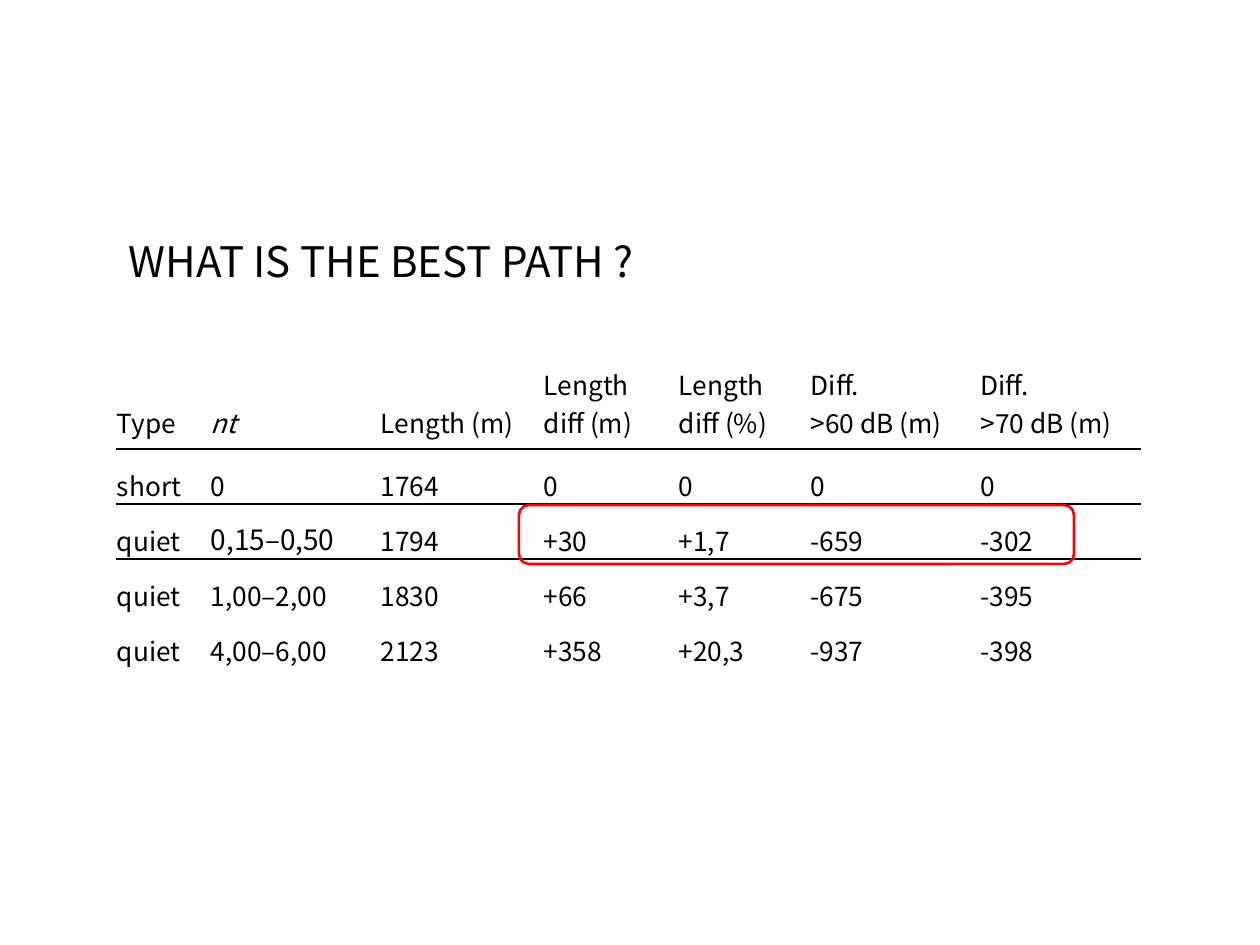
from lxml.etree import SubElement
from pptx import Presentation
from pptx.dml.color import RGBColor
from pptx.enum.shapes import MSO_SHAPE
from pptx.enum.text import MSO_ANCHOR, PP_ALIGN
from pptx.oxml import parse_xml
from pptx.oxml.ns import nsdecls, qn
from pptx.util import Emu, Pt

BLACK = RGBColor(0, 0, 0)
RED = RGBColor(255, 0, 0)
FONT = "Noto Sans CJK KR"
PLAIN_TABLE = "{2D5ABB26-0587-4C30-8999-92F81FD0307C}"
EMU_PER_PX = 914400 / 126


def px(length):
    return Emu(round(length * EMU_PER_PX))


class SlideBuilder:
    def __init__(self, slide, font_name, color):
        self.slide = slide
        self.font_name = font_name
        self.color = color

    def style(self, paragraph, size, italic=False):
        paragraph.font.name = self.font_name
        paragraph.font.size = Pt(size)
        paragraph.font.italic = italic
        paragraph.font.color.rgb = self.color

    def title(self, text, left, top, width, height):
        title = self.slide.shapes.title
        title.left, title.top, title.width, title.height = map(px, (left, top, width, height))
        title.text_frame.text = text
        title.text_frame.vertical_anchor = MSO_ANCHOR.MIDDLE
        heading = title.text_frame.paragraphs[0]
        heading.alignment = PP_ALIGN.LEFT
        heading.line_spacing = 0.9
        self.style(heading, 24)

    def table(self, rows, left, top, widths, heights, size):
        frame = self.slide.shapes.add_table(
            len(rows), len(widths), px(left), px(top), px(sum(widths)), px(sum(heights)))
        table = frame.table
        table.first_row = table.horz_banding = False
        next(frame._element.iter(qn("a:tableStyleId"))).text = PLAIN_TABLE
        for column, width in zip(table.columns, widths):
            column.width = px(width)
        for row, height in zip(table.rows, heights):
            row.height = px(height)
        for r, values in enumerate(rows):
            for c, value in enumerate(values):
                self.fill_cell(table.cell(r, c), value, size)
        return table

    def fill_cell(self, cell, value, size):
        cell.fill.background()
        cell.vertical_anchor = MSO_ANCHOR.BOTTOM
        cell.margin_left = cell.margin_right = cell.margin_top = px(1)
        cell.margin_bottom = 0
        cell.text = value
        for paragraph in cell.text_frame.paragraphs:
            if value:
                self.style(paragraph, size)
            else:
                SubElement(paragraph._p, qn("a:endParaRPr"), sz="100")

    def rule_below(self, table, row):
        for line_row, side in ((row, "lnB"), (row + 1, "lnT")):
            for cell in table.rows[line_row].cells:
                cell._tc.get_or_add_tcPr().insert(0, parse_xml(
                    f'<a:{side} {nsdecls("a")} w="{Pt(1)}"><a:solidFill>'
                    f'<a:srgbClr val="{self.color}"/></a:solidFill></a:{side}>'))

    def highlight(self, left, top, width, height, color):
        frame = self.slide.shapes.add_shape(
            MSO_SHAPE.ROUNDED_RECTANGLE, *map(px, (left, top, width, height)))
        frame.shadow.inherit = False
        frame.fill.background()
        frame.line.color.rgb = color
        frame.line.width = Pt(1.5)


def main():
    presentation = Presentation()
    presentation.slide_width, presentation.slide_height = px(1260), px(945)
    slide = presentation.slides.add_slide(presentation.slide_layouts[5])
    builder = SlideBuilder(slide, FONT, BLACK)

    path_rows = [
        ["Type", "nt", "Length (m)", "Length \vdiff (m)", "Length \vdiff (%)",
         "Diff.\n>60 dB (m)", "Diff.\n>70 dB (m)"],
        [""] * 7,
        ["short", "0", "1764", "0", "0", "0", "0"],
        ["quiet", "0,15–0,50", "1794", "+30", "+1,7", "-659", "-302"],
        ["quiet", "1,00–2,00", "1830", "+66", "+3,7", "-675", "-395"],
        ["quiet", "4,00–6,00", "2123", "+358", "+20,3", "-937", "-398"],
    ]
    paths = builder.table(path_rows, 116, 364, [94, 170, 163, 135, 132, 170, 161],
                          [71, 8] + [55] * 4, 15)
    builder.style(paths.cell(0, 1).text_frame.paragraphs[0], 15, italic=True)
    builder.style(paths.cell(3, 1).text_frame.paragraphs[0], 16)
    for row in (1, 2):
        builder.rule_below(paths, row)

    builder.title("WHAT IS THE BEST PATH ?", 116, 208, 1086, 112)
    builder.highlight(519, 505, 555, 59, RED)
    presentation.save("out.pptx")


if __name__ == "__main__":
    main()
